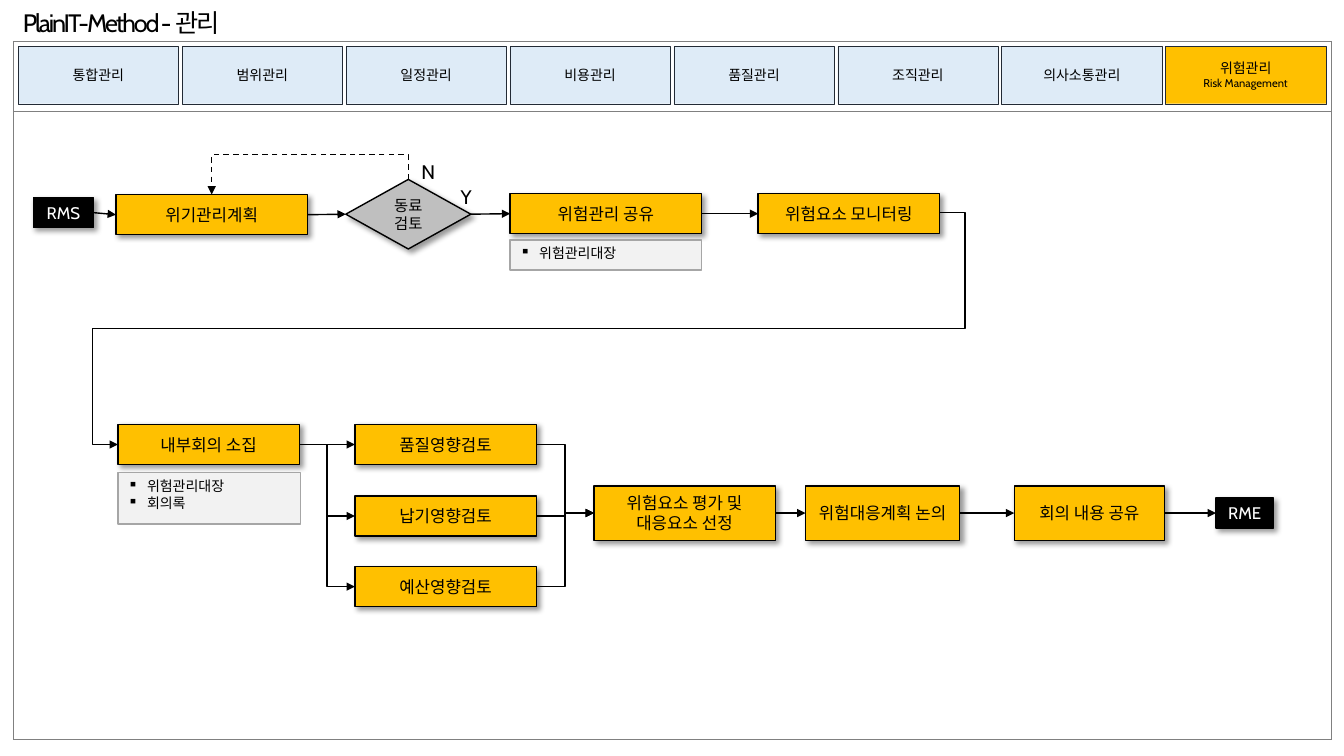
"""Build the risk management process flow slide."""
from lxml.etree import SubElement
from pptx import Presentation
from pptx.dml.color import RGBColor
from pptx.enum.dml import MSO_LINE
from pptx.enum.shapes import MSO_CONNECTOR as LINK, MSO_SHAPE as SHAPE
from pptx.enum.text import MSO_ANCHOR as ANCHOR, PP_ALIGN as ALIGN
from pptx.oxml import parse_xml
from pptx.oxml.ns import nsdecls, qn
from pptx.util import Inches, Pt

COLORS = {
    "black": "000000", "white": "FFFFFF", "amber": "FFC000", "sky": "DEEBF7",
    "navy": "222A35", "silver": "BFBFBF", "paper": "F2F2F2", "edge": "A6A6A6",
    "frame": "808080",
}
LATIN, KOREAN = "Cabin", "Noto Sans CJK KR"

prs = Presentation()
prs.slide_width, prs.slide_height = Inches(13.33), Inches(7.5)
slide = prs.slides.add_slide(prs.slide_layouts[6])
shapes = slide.shapes


def add_box(kind, place, lines, size, fill, edge="black", width=1, color="black", shadow=True):
    box = shapes.add_shape(kind, *map(Inches, place))
    box.shadow.inherit = False
    box.fill.solid()
    box.fill.fore_color.rgb = RGBColor.from_string(COLORS[fill])
    box.line.color.rgb = RGBColor.from_string(COLORS[edge])
    box.line.width = Pt(width)
    if shadow:
        effects = box._element.spPr.find(qn("a:effectLst"))
        effects.append(parse_xml(
            f'<a:outerShdw {nsdecls("a")} blurRad="{Pt(4)}" dist="{Pt(3)}" dir="2700000" '
            'algn="tl" rotWithShape="0"><a:srgbClr val="000000"><a:alpha val="40000"/>'
            '</a:srgbClr></a:outerShdw>'))
    frame = box.text_frame
    frame.word_wrap = True
    frame.vertical_anchor = ANCHOR.MIDDLE
    for i, line in enumerate(lines):
        para = frame.paragraphs[0] if i == 0 else frame.add_paragraph()
        para.text = line
        para.alignment = ALIGN.CENTER
        para.font.size = Pt(size)
        para.font.name = LATIN
        para.font.color.rgb = RGBColor.from_string(COLORS[color])
    return box


def add_arrow(kind, start, end, dashed=False):
    arrow = shapes.add_connector(kind, *map(Inches, start + end))
    arrow.line.color.rgb = RGBColor.from_string(COLORS["black"])
    arrow.line.width = Pt(1)
    if dashed:
        arrow.line.dash_style = MSO_LINE.DASH
    SubElement(arrow.line._get_or_add_ln(), qn("a:tailEnd"), type="triangle")
    SubElement(arrow._element.spPr, qn("a:effectLst"))
    return arrow


panel = shapes.add_table(2, 1, *map(Inches, (0.13, 0.41, 13.07, 6.93))).table
panel.first_row = panel.horz_banding = False
for row, height in zip(panel.rows, (0.69, 6.24)):
    row.height = Inches(height)
    cell = row.cells[0]
    props = cell._tc.get_or_add_tcPr()
    for side in ("lnL", "lnR", "lnT", "lnB"):
        props.append(parse_xml(
            f'<a:{side} {nsdecls("a")} w="{Pt(0.5)}"><a:solidFill>'
            f'<a:srgbClr val="{COLORS["frame"]}"/></a:solidFill></a:{side}>'))
    cell.fill.background()

areas = ["통합관리", "범위관리", "일정관리", "비용관리", "품질관리", "조직관리", "의사소통관리", "위험관리"]
for i, area in enumerate(areas):
    current = area == "위험관리"
    tab = add_box(SHAPE.RECTANGLE, (0.18 + i * 11.38 / 7, 0.46, 1.59, 0.57),
                  [area, "Risk Management"] if current else [area], 10,
                  "amber" if current else "sky", "navy", 0.25, shadow=False)
    if current:
        tab.text_frame.paragraphs[1].font.size = Pt(8)

for label, size, place in [
    ("PlainIT-Method - 관리", 18, (0.13, 0.02, 2.27, 0.4)),
    ("Y", 14, (4.47, 1.79, 0.32, 0.34)),
    ("N", 14, (4.08, 1.54, 0.35, 0.34)),
]:
    caption = shapes.add_textbox(*map(Inches, place)).text_frame
    caption.word_wrap = False
    para = caption.paragraphs[0]
    para.text = label
    para.font.size = Pt(size)
    para.font.name = LATIN
    para.font.color.rgb = RGBColor.from_string(COLORS["black"])
    if size == 18:
        para.runs[0]._r.get_or_add_rPr().set("spc", "-150")

steps = {}
for key, place, lines in [
    ("plan", (1.15, 1.93, 1.9, 0.4), ["위기관리계획"]),
    ("share", (5.06, 1.92, 1.9, 0.4), ["위험관리 공유"]),
    ("monitor", (7.52, 1.92, 1.8, 0.4), ["위험요소 모니터링"]),
    ("meeting", (1.17, 4.21, 1.8, 0.4), ["내부회의 소집"]),
    ("quality", (3.52, 4.21, 1.8, 0.4), ["품질영향검토"]),
    ("delivery", (3.52, 4.92, 1.8, 0.4), ["납기영향검토"]),
    ("budget", (3.52, 5.62, 1.8, 0.4), ["예산영향검토"]),
    ("assess", (5.89, 4.82, 1.8, 0.54), ["위험요소 평가 및", "대응요소 선정"]),
    ("discuss", (7.99, 4.82, 1.53, 0.54), ["위험대응계획 논의"]),
    ("publish", (10.06, 4.82, 1.49, 0.54), ["회의 내용 공유"]),
]:
    steps[key] = add_box(SHAPE.RECTANGLE, place, lines, 12, "amber")
for key, place in [("RMS", (0.33, 1.96, 0.6, 0.3)), ("RME", (12.06, 4.94, 0.57, 0.3))]:
    steps[key] = add_box(SHAPE.RECTANGLE, place, [key], 12, "black", color="white")
steps["review"] = add_box(SHAPE.DIAMOND, (3.43, 1.78, 1.24, 0.69), ["동료", "검토"], 11, "silver")

for place, outputs in [
    ((5.06, 2.38, 1.9, 0.3), ["위험관리대장"]),
    ((1.17, 4.69, 1.81, 0.51), ["위험관리대장", "회의록"]),
]:
    note = add_box(SHAPE.RECTANGLE, place, outputs, 10, "paper", "edge", shadow=False).text_frame
    note.vertical_anchor = ANCHOR.TOP
    for para in note.paragraphs:
        para.alignment = ALIGN.LEFT
        para.font.name = KOREAN
        props = para._p.get_or_add_pPr()
        props.set("marL", str(Inches(0.19)))
        props.set("indent", str(-Inches(0.19)))
        props.insert(0, parse_xml(f'<a:buChar {nsdecls("a")} char="▪"/>'))

TOP, LEFT, RIGHT = 0, 1, 3
for source, target in [
    ("RMS", "plan"), ("plan", "review"), ("review", "share"), ("share", "monitor"),
    ("meeting", "quality"), ("assess", "discuss"), ("discuss", "publish"), ("publish", "RME"),
]:
    arrow = add_arrow(LINK.STRAIGHT, (0, 0), (1, 1))
    arrow.begin_connect(steps[source], RIGHT)
    arrow.end_connect(steps[target], LEFT)

for source, target in [
    ("meeting", "delivery"), ("meeting", "budget"),
    ("quality", "assess"), ("delivery", "assess"), ("budget", "assess"),
]:
    arrow = add_arrow(LINK.ELBOW, (0, 0), (1, 1))
    arrow.begin_connect(steps[source], RIGHT)
    arrow.end_connect(steps[target], LEFT)

rework = add_arrow(LINK.ELBOW, (3.15, 2.83), (3.0, 0.88), dashed=True)
rework._element.spPr.find(qn("a:xfrm")).set("rot", "16200000")
next_row = add_arrow(LINK.ELBOW, (9.32, 2.11), (1.17, 4.41))
for arrow, preset, bends in [
    (rework, "bentConnector3", {"adj1": -163600}),
    (next_row, "bentConnector5", {"adj1": -3100, "adj2": 50000, "adj3": 103100}),
]:
    geometry = arrow._element.spPr.find(qn("a:prstGeom"))
    geometry.set("prst", preset)
    guides = geometry.find(qn("a:avLst"))
    for name, value in bends.items():
        SubElement(guides, qn("a:gd"), name=name, fmla=f"val {value}")

prs.save("out.pptx")
